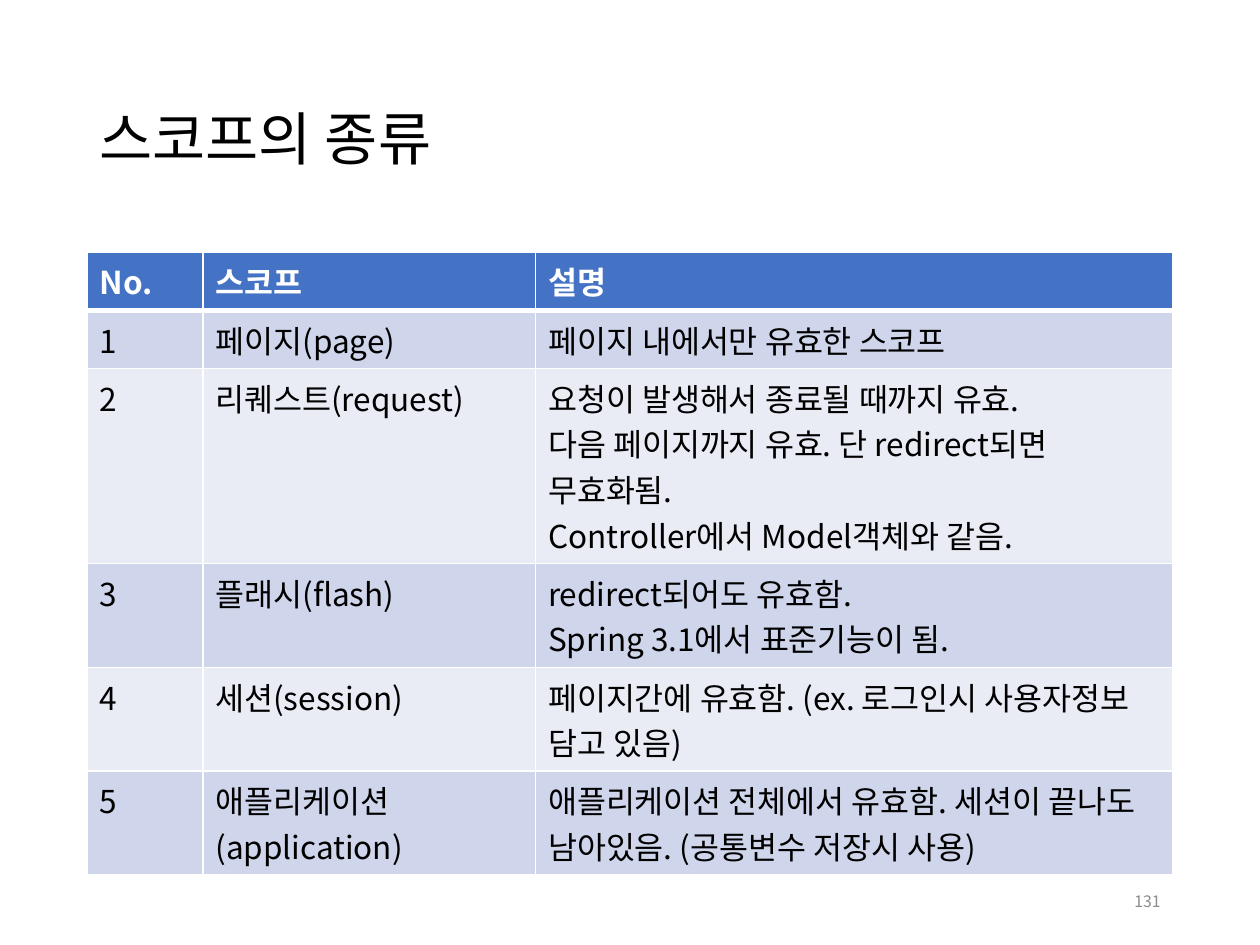
import pptx
import pptx.dml.color
import pptx.enum.text
import pptx.oxml
import pptx.oxml.ns
import pptx.util

TITLE = "스코프의 종류"
PAGE_NUMBER = "131"
ROWS = [
    ("No.", "스코프", "설명"),
    ("1", "페이지(page)", "페이지 내에서만 유효한 스코프"),
    ("2", "리퀘스트(request)",
     "요청이 발생해서 종료될 때까지 유효.\n"
     "다음 페이지까지 유효. 단 redirect되면 무효화됨.\n"
     "Controller에서 Model객체와 같음."),
    ("3", "플래시(flash)", "redirect되어도 유효함.\nSpring 3.1에서 표준기능이 됨."),
    ("4", "세션(session)", "페이지간에 유효함. (ex. 로그인시 사용자정보 담고 있음)"),
    ("5", "애플리케이션(application)",
     "애플리케이션 전체에서 유효함. 세션이 끝나도 남아있음. (공통변수 저장시 사용)"),
]
FONT = "Noto Sans CJK KR"
HEADER_FILL = "4472C4"
BAND_FILLS = ("CFD5EA", "E9EBF5")
WHITE, BLACK, GREY = "FFFFFF", "000000", "8C8C8C"

WIDTH, HEIGHT = 10, 7.5
MARGIN = 0.69
CONTENT_WIDTH = WIDTH - 2 * MARGIN
COLUMN_WIDTHS = (0.92, 2.64, CONTENT_WIDTH - 0.92 - 2.64)
ROW_HEIGHT = 0.41

inches = pptx.util.Inches
anchor = pptx.enum.text.MSO_ANCHOR
align = pptx.enum.text.PP_ALIGN


def color(value):
    return pptx.dml.color.RGBColor.from_string(value)


def write(frame, text, size, fill, bold=False, alignment=align.LEFT):
    frame.text = text
    frame.word_wrap = True
    for para in frame.paragraphs:
        para.alignment = alignment
        for span in para.runs:
            span.font.size = pptx.util.Pt(size)
            span.font.bold = bold
            span.font.name = FONT
            span.font.color.rgb = color(fill)
            east_asian = pptx.oxml.parse_xml(
                f'<a:ea {pptx.oxml.ns.nsdecls("a")} typeface="{FONT}"/>')
            span.font._element.find(pptx.oxml.ns.qn("a:latin")).addnext(east_asian)


def set_borders(cell, widths):
    """Draw white cell borders; widths maps a side (L, R, T, B) to points."""
    properties = cell._tc.get_or_add_tcPr()
    for index, (side, width) in enumerate(widths.items()):
        properties.insert(index, pptx.oxml.parse_xml(
            f'<a:ln{side} {pptx.oxml.ns.nsdecls("a")} w="{pptx.util.Pt(width)}">'
            f'<a:solidFill><a:srgbClr val="{WHITE}"/></a:solidFill></a:ln{side}>'))


def add_title(page):
    title = page.shapes.title
    title.left, title.top = inches(MARGIN), inches(0.4)
    title.width, title.height = inches(CONTENT_WIDTH), inches(1.45)
    write(title.text_frame, TITLE, 33, BLACK)
    title.text_frame.vertical_anchor = anchor.MIDDLE
    title.text_frame.paragraphs[0].line_spacing = 0.9


def add_scope_table(page):
    table = page.shapes.add_table(
        len(ROWS), len(COLUMN_WIDTHS), inches(MARGIN), inches(2),
        inches(CONTENT_WIDTH), inches(ROW_HEIGHT * len(ROWS))).table
    for column, width in zip(table.columns, COLUMN_WIDTHS):
        column.width = inches(width)
    for r, texts in enumerate(ROWS):
        table.rows[r].height = inches(ROW_HEIGHT)
        header = r == 0
        for c, text in enumerate(texts):
            cell = table.cell(r, c)
            write(cell.text_frame, text, 18, WHITE if header else BLACK, header)
            cell.fill.solid()
            cell.fill.fore_color.rgb = color(
                HEADER_FILL if header else BAND_FILLS[(r - 1) % 2])
            set_borders(cell, {"L": 1, "R": 1, "T": 3 if r == 1 else 1,
                               "B": 3 if header else 1})


def add_page_number(page):
    box = page.shapes.add_textbox(
        inches(WIDTH - MARGIN - 2.25), inches(6.95), inches(2.25), inches(0.4))
    write(box.text_frame, PAGE_NUMBER, 9, GREY, alignment=align.RIGHT)
    box.text_frame.vertical_anchor = anchor.MIDDLE


def main():
    deck = pptx.Presentation()
    deck.slide_width, deck.slide_height = inches(WIDTH), inches(HEIGHT)
    page = deck.slides.add_slide(deck.slide_layouts.get_by_name("Title Only"))
    add_title(page)
    add_scope_table(page)
    add_page_number(page)
    deck.save("out.pptx")


if __name__ == "__main__":
    main()
